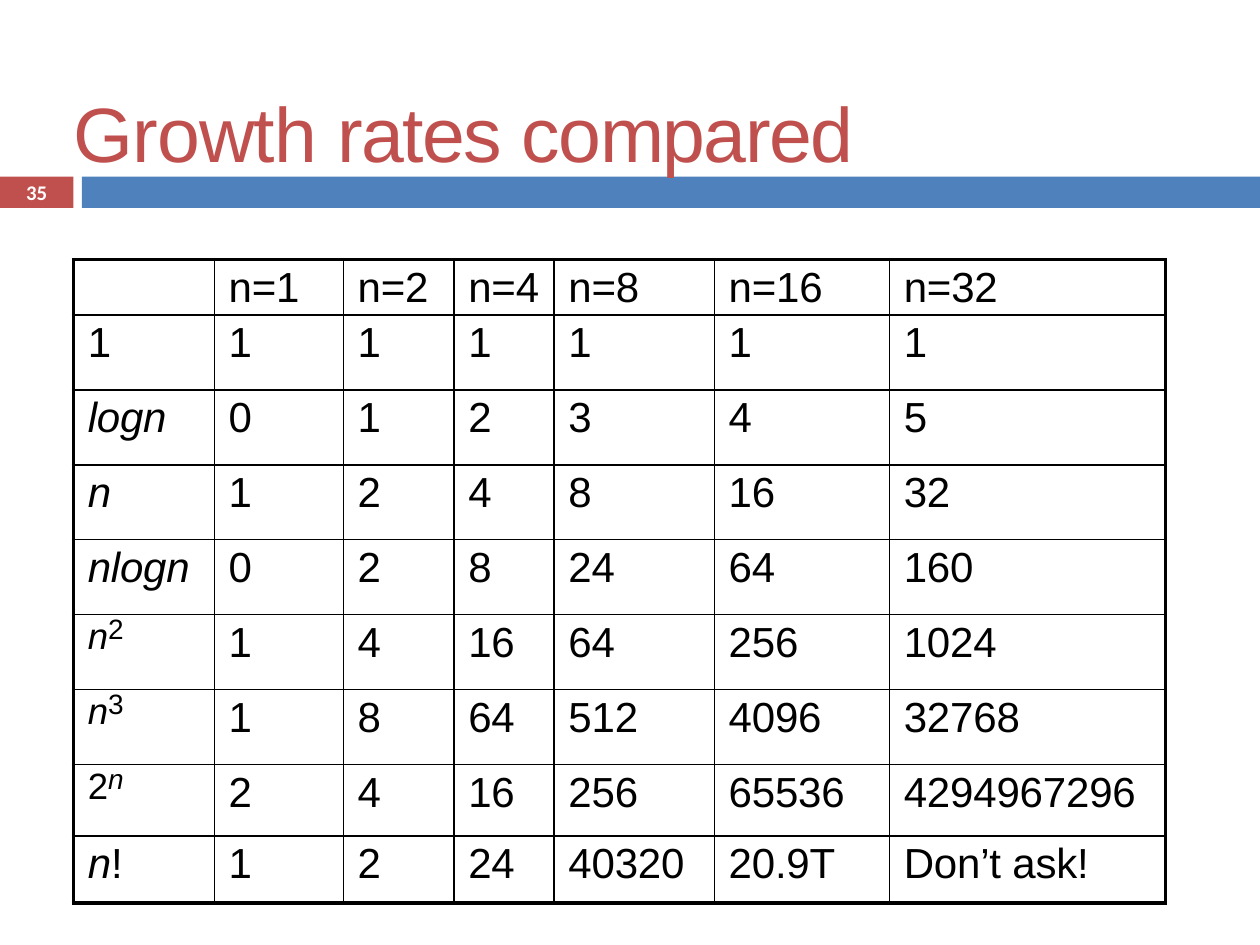
from dataclasses import dataclass

from lxml import etree
from pptx import Presentation
from pptx.dml.color import RGBColor
from pptx.enum.shapes import MSO_SHAPE
from pptx.enum.text import MSO_ANCHOR, PP_ALIGN
from pptx.oxml.ns import qn
from pptx.util import Cm, Pt

RECTANGLE = MSO_SHAPE.RECTANGLE
MIDDLE = MSO_ANCHOR.MIDDLE
TOP = MSO_ANCHOR.TOP
LEFT = PP_ALIGN.LEFT
CENTER = PP_ALIGN.CENTER
BLANK_LAYOUT = 6


@dataclass(frozen=True)
class Theme:
    red: str = "C0504D"
    blue: str = "4F81BD"
    black: str = "000000"
    white: str = "FFFFFF"
    body_font: str = "Arial"
    number_font: str = "Calibri"
    title_size: float = 44
    cell_size: float = 24
    base_size: float = 36
    exponent_size: float = 16
    number_size: float = 11.9
    inner_border: float = 1
    outer_border: float = 2.25


THEME = Theme()


@dataclass(frozen=True)
class Box:
    left: float
    top: float
    width: float
    height: float

    def lengths(self) -> tuple:
        return Cm(self.left), Cm(self.top), Cm(self.width), Cm(self.height)


@dataclass(frozen=True)
class TextPart:
    text: str
    size: float = THEME.cell_size
    color: str = THEME.black
    font: str = THEME.body_font
    italic: bool = False
    bold: bool = False
    spacing: int = 0
    baseline: int = 0


@dataclass(frozen=True)
class GrowthRow:
    label: tuple
    values: tuple
    height: float
    is_power: bool = False


def plain(text: str, italic: bool = False) -> TextPart:
    return TextPart(text, italic=italic, spacing=-10 if len(text) > 1 else 0)


def power(base: str, exponent: str) -> tuple:
    return (
        TextPart(base, THEME.base_size, italic=base.isalpha(), baseline=-16000),
        TextPart(exponent, THEME.exponent_size, italic=exponent.isalpha()),
    )


BARS = (
    (Box(0, 3.56, 1.48, 0.63), THEME.red),
    (Box(1.65, 3.56, 23.75, 0.63), THEME.blue),
)
TITLE_BOX = Box(1.48, 1.7, 23.9, 1.93)
NUMBER_BOX = Box(0, 3.53, 1.48, 0.69)
TABLE_BOX = Box(1.48, 5.23, 22.02, 12.98)
COLUMN_WIDTHS = (2.84, 2.6, 2.23, 2.02, 3.23, 3.53, 5.57)
TITLE = tuple(
    TextPart(text, THEME.title_size, THEME.red, spacing=spacing)
    for text, spacing in (("Growth ", -50), ("rates ", -100), ("compared", -90))
)
PAGE_NUMBER = (TextPart("35", THEME.number_size, THEME.white, THEME.number_font, bold=True),)
GROWTH_ROWS = (
    GrowthRow((), ("n=1", "n=2", "n=4", "n=8", "n=16", "n=32"), 1.12),
    GrowthRow((plain("1"),), ("1",) * 6, 1.51),
    GrowthRow((plain("logn", True),), ("0", "1", "2", "3", "4", "5"), 1.51),
    GrowthRow((plain("n", True),), ("1", "2", "4", "8", "16", "32"), 1.51),
    GrowthRow((plain("nlogn", True),), ("0", "2", "8", "24", "64", "160"), 1.51),
    GrowthRow(power("n", "2"), ("1", "4", "16", "64", "256", "1024"), 1.51, True),
    GrowthRow(power("n", "3"), ("1", "8", "64", "512", "4096", "32768"), 1.51, True),
    GrowthRow(power("2", "n"), ("2", "4", "16", "256", "65536", "4294967296"), 1.44, True),
    GrowthRow((plain("n", True), plain("!")),
              ("1", "2", "24", "40320", "20.9T", "Don’t ask!"), 1.35),
)


def apply_format(target, values: dict) -> None:
    for name, value in values.items():
        setattr(target, name, value)


def write_parts(paragraph, parts: tuple) -> None:
    for part in parts:
        run = paragraph.add_run()
        run.text = part.text
        apply_format(run.font, {"name": part.font, "size": Pt(part.size),
                                "italic": part.italic, "bold": part.bold})
        run.font.color.rgb = RGBColor.from_string(part.color)
        properties = run._r.get_or_add_rPr()
        for name, value in {"spc": part.spacing, "baseline": part.baseline}.items():
            if value:
                properties.set(name, str(value))


def add_bar(slide, box: Box, color: str) -> None:
    bar = slide.shapes.add_shape(RECTANGLE, *box.lengths())
    bar.shadow.inherit = False
    bar.fill.solid()
    bar.fill.fore_color.rgb = RGBColor.from_string(color)
    bar.line.fill.background()


def add_text(slide, box: Box, parts: tuple, alignment=LEFT) -> None:
    frame = slide.shapes.add_textbox(*box.lengths()).text_frame
    apply_format(frame, {"word_wrap": True, "vertical_anchor": MIDDLE, "margin_left": 0,
                         "margin_right": 0, "margin_top": 0, "margin_bottom": 0})
    frame.paragraphs[0].alignment = alignment
    write_parts(frame.paragraphs[0], parts)


def add_borders(cell, widths: dict) -> None:
    properties = cell._tc.get_or_add_tcPr()
    for side, width in widths.items():
        line = etree.SubElement(properties, qn(f"a:ln{side}"), w=str(Pt(width)))
        fill = etree.SubElement(line, qn("a:solidFill"))
        etree.SubElement(fill, qn("a:srgbClr"), val=THEME.black)


def fill_cell(cell, parts: tuple, is_power: bool) -> None:
    apply_format(cell, {"margin_left": Cm(0.29), "margin_right": 0, "margin_bottom": 0,
                        "margin_top": 0 if is_power else Cm(0.1), "vertical_anchor": TOP})
    paragraph = cell.text_frame.paragraphs[0]
    spacing = {"line_spacing": Pt(24.6)} if is_power else {"space_before": Pt(3)}
    apply_format(paragraph, spacing)
    write_parts(paragraph, parts)


def add_growth_table(slide) -> None:
    row_count, column_count = len(GROWTH_ROWS), len(COLUMN_WIDTHS)
    table = slide.shapes.add_table(row_count, column_count, *TABLE_BOX.lengths()).table
    apply_format(table, {"first_row": False, "horz_banding": False})
    for column, width in zip(table.columns, COLUMN_WIDTHS):
        column.width = Cm(width)
    for row_index, growth in enumerate(GROWTH_ROWS):
        table.rows[row_index].height = Cm(growth.height)
        contents = (growth.label, *((plain(value),) for value in growth.values))
        for column_index, parts in enumerate(contents):
            cell = table.cell(row_index, column_index)
            fill_cell(cell, parts, growth.is_power and column_index == 0)
            outer_sides = {"L": column_index == 0, "R": column_index == column_count - 1,
                           "T": row_index == 0, "B": row_index == row_count - 1}
            add_borders(cell, {side: THEME.outer_border if outer else THEME.inner_border
                               for side, outer in outer_sides.items()})
            cell.fill.background()


def main() -> None:
    presentation = Presentation()
    apply_format(presentation, {"slide_width": Cm(25.4), "slide_height": Cm(19.05)})
    slide = presentation.slides.add_slide(presentation.slide_layouts[BLANK_LAYOUT])
    for box, color in BARS:
        add_bar(slide, box, color)
    add_text(slide, TITLE_BOX, TITLE)
    add_growth_table(slide)
    add_text(slide, NUMBER_BOX, PAGE_NUMBER, CENTER)
    presentation.save("out.pptx")


if __name__ == "__main__":
    main()
